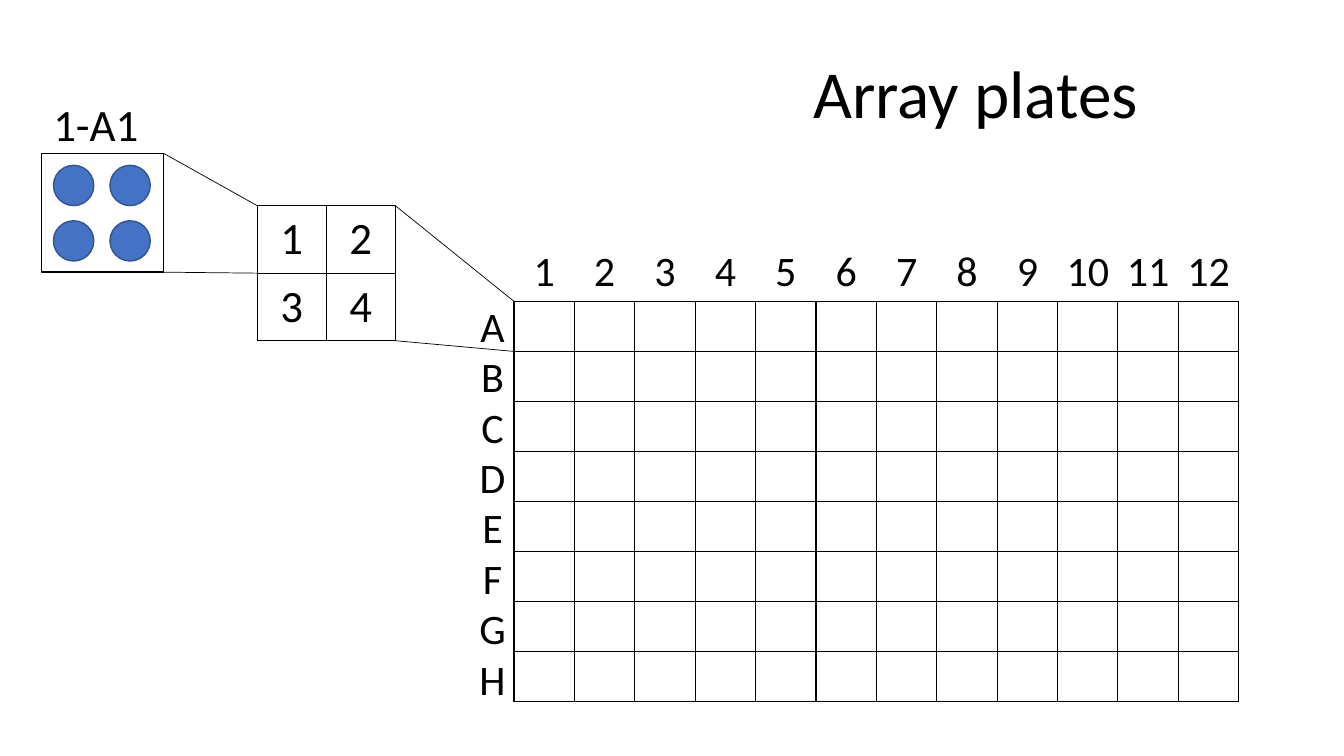
from collections import namedtuple

from lxml.etree import SubElement
from pptx import Presentation
from pptx.dml.color import RGBColor
from pptx.enum.shapes import MSO_CONNECTOR as Connector, MSO_SHAPE as Shape
from pptx.enum.text import MSO_ANCHOR as Anchor, MSO_AUTO_SIZE as AutoSize, PP_ALIGN as Align
from pptx.oxml.ns import qn
from pptx.util import Inches, Pt

BLACK = RGBColor(0x00, 0x00, 0x00)
SPOT_BLUE = RGBColor(0x44, 0x72, 0xC4)
SPOT_EDGE = RGBColor(0x32, 0x54, 0x91)

WIDTH, HEIGHT = Inches(13.33), Inches(7.5)

# Boxes are in percent of the slide's width and height
Box = namedtuple("Box", "left top width height")
PLATE = Box(38.25, 39.87, 53.93, 52.93)
QUADRANTS = Box(19.13, 27.2, 10.28, 17.87)
WELL = Box(3.08, 20.27, 9.08, 15.73)
FIRST_SPOT = Box(3.98, 21.87, 3, 5.33)
SPOT_STEP = (4.2, 7.33)
ROW_NAMES = "ABCDEFGH"
COLUMN_COUNT = 12


def across(percent):
    return round(WIDTH * percent / 100)


def down(percent):
    return round(HEIGHT * percent / 100)


def place(box):
    return across(box.left), down(box.top), across(box.width), down(box.height)


def first_cell(box, rows, columns):
    return Box(box.left, box.top, box.width / columns, box.height / rows)


def apply_format(target, values):
    for name, value in values.items():
        setattr(target, name, value)


def style_paragraph(paragraph, size, align):
    paragraph.alignment = align
    apply_format(paragraph.font, {"name": "Calibri", "size": Pt(size)})
    paragraph.font.color.rgb = BLACK


def add_label(slide, box, lines, size, align=Align.LEFT):
    frame = slide.shapes.add_textbox(*place(box)).text_frame
    apply_format(frame, {"word_wrap": False, "auto_size": AutoSize.SHAPE_TO_FIT_TEXT})
    frame.text = "\n".join(lines)
    for paragraph in frame.paragraphs:
        style_paragraph(paragraph, size, align)
    return frame


def add_column_numbers(slide):
    """One line of numbers, each centred over its column by a tab stop."""
    numbers = "".join(f"\t{number}" for number in range(1, COLUMN_COUNT + 1))
    header = Box(PLATE.left, 31.73, PLATE.width, 8.13)
    frame = add_label(slide, header, [numbers], 30)
    apply_format(frame, {"word_wrap": True, "margin_left": 0, "margin_right": 0})
    stops = SubElement(frame.paragraphs[0]._p.get_or_add_pPr(), qn("a:tabLst"))
    # Font defaults follow the tab stops in the schema
    stops.getparent().insert(0, stops)
    pitch = across(PLATE.width / COLUMN_COUNT)
    for column in range(COLUMN_COUNT):
        SubElement(stops, qn("a:tab"), pos=str(round(pitch * (column + 0.5))), algn="ctr")


def outline_cell(cell):
    cell.fill.background()
    properties = cell._tc.get_or_add_tcPr()
    for index, side in enumerate(("lnL", "lnR", "lnT", "lnB")):
        border = properties.makeelement(qn(f"a:{side}"), {"w": str(Pt(1))})
        properties.insert(index, border)
        fill = SubElement(border, qn("a:solidFill"))
        SubElement(fill, qn("a:srgbClr"), val=str(BLACK))


def add_grid(slide, box, rows, columns, texts=()):
    table = slide.shapes.add_table(rows, columns, *place(box)).table
    apply_format(table, {"first_row": False, "horz_banding": False})
    for column in table.columns:
        column.width = across(box.width / columns)
    for row in table.rows:
        row.height = down(box.height / rows)
    for cell in table.iter_cells():
        outline_cell(cell)
    for cell, text in zip(table.iter_cells(), texts):
        cell.text = text
        cell.vertical_anchor = Anchor.MIDDLE
        style_paragraph(cell.text_frame.paragraphs[0], 32, Align.CENTER)


def add_outline(slide, kind, box, edge, fill=None):
    shape = slide.shapes.add_shape(kind, *place(box))
    shape.shadow.inherit = False
    if fill is None:
        shape.fill.background()
    else:
        shape.fill.solid()
        shape.fill.fore_color.rgb = fill
    shape.line.color.rgb = edge
    shape.line.width = Pt(1)


def add_zoom_lines(slide, detail, cell):
    """Join the right corners of a detail to the left corners of its cell."""
    corners = ((detail.top, cell.top),
               (detail.top + detail.height, cell.top + cell.height))
    for detail_y, cell_y in corners:
        line = slide.shapes.add_connector(
            Connector.STRAIGHT, across(cell.left), down(cell_y),
            across(detail.left + detail.width), down(detail_y))
        line.line.color.rgb = BLACK
        line.line.width = Pt(0.5)
        SubElement(line._element.spPr, qn("a:effectLst"))


def main():
    deck = Presentation()
    apply_format(deck, {"slide_width": WIDTH, "slide_height": HEIGHT})
    slide = deck.slides.add_slide(deck.slide_layouts[6])

    # Full plate with row letters and column numbers
    add_grid(slide, PLATE, len(ROW_NAMES), COLUMN_COUNT)
    add_label(slide, Box(34.88, 39.07, 3.53, 55.2), ROW_NAMES, 30, Align.CENTER)
    add_column_numbers(slide)
    add_zoom_lines(slide, QUADRANTS, first_cell(PLATE, len(ROW_NAMES), COLUMN_COUNT))

    # Four quadrants of one plate position
    add_grid(slide, QUADRANTS, 2, 2, "1234")

    # One quadrant with its four spots
    add_outline(slide, Shape.RECTANGLE, WELL, BLACK)
    for row in range(2):
        for column in range(2):
            spot = FIRST_SPOT._replace(left=FIRST_SPOT.left + column * SPOT_STEP[0],
                                       top=FIRST_SPOT.top + row * SPOT_STEP[1])
            add_outline(slide, Shape.OVAL, spot, SPOT_EDGE, SPOT_BLUE)
    add_zoom_lines(slide, WELL, first_cell(QUADRANTS, 2, 2))

    # Title and quadrant name
    add_label(slide, Box(59.78, 6.13, 25.95, 12.13), ["Array plates"], 48)
    add_label(slide, Box(3.23, 12.13, 7.88, 8.53), ["1-A1"], 32)

    deck.save("out.pptx")


main()
